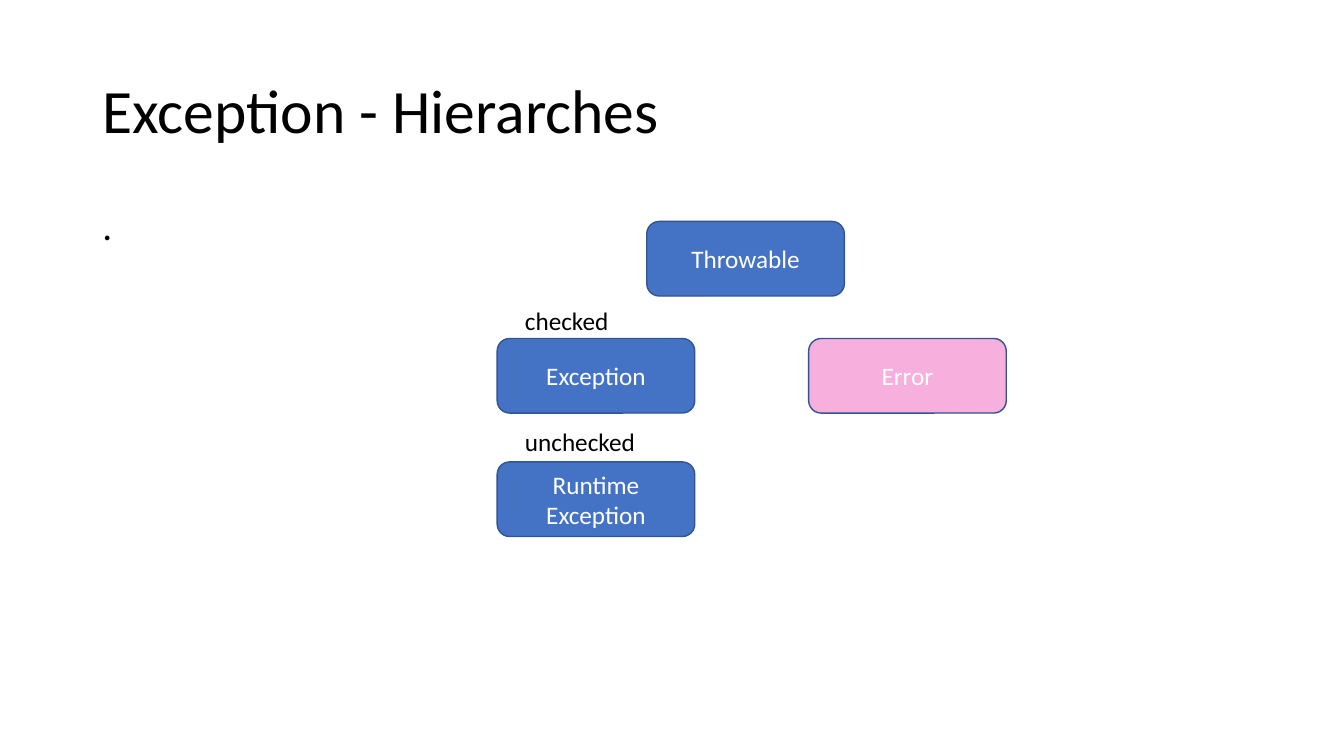
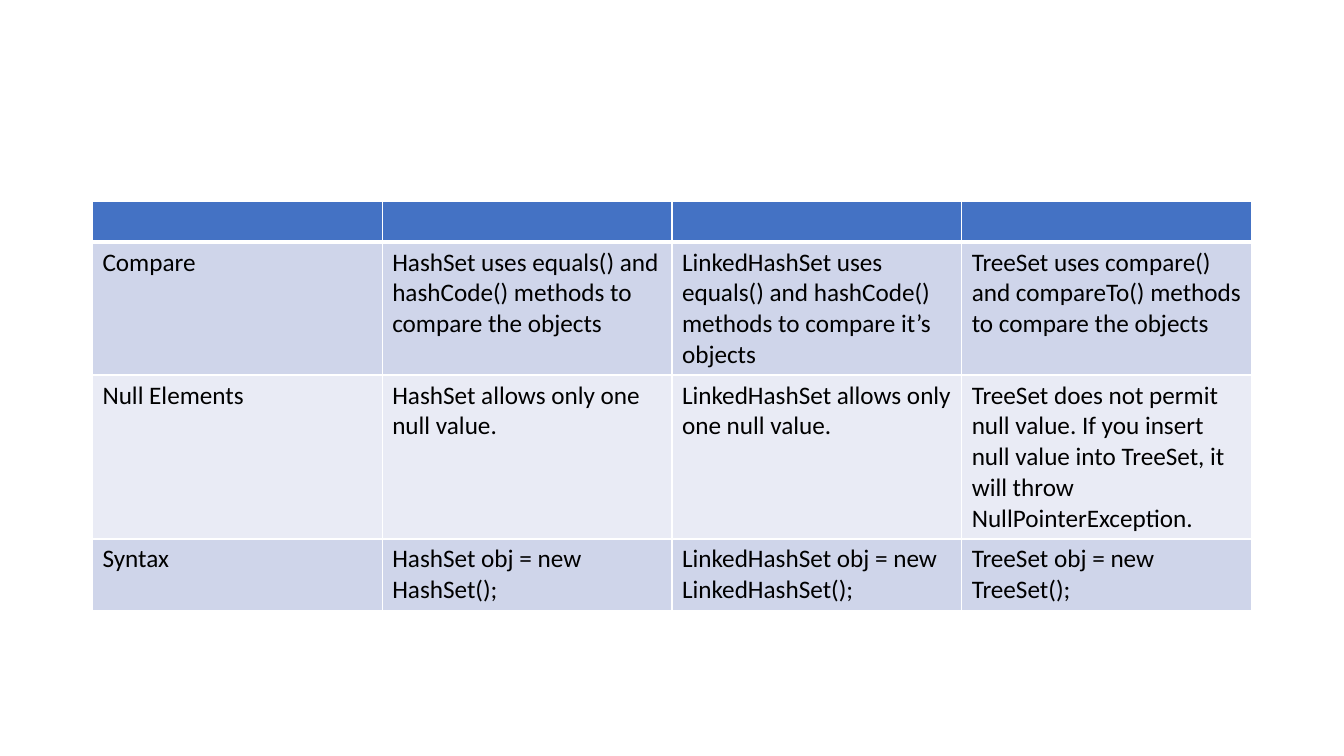
from lxml import etree
from pptx import Presentation
from pptx.dml.color import RGBColor
from pptx.enum.shapes import MSO_SHAPE
from pptx.enum.text import MSO_ANCHOR, PP_ALIGN
from pptx.oxml.ns import qn
from pptx.util import Cm, Pt

ROUNDED = MSO_SHAPE.ROUNDED_RECTANGLE
TOP, MIDDLE = MSO_ANCHOR.TOP, MSO_ANCHOR.MIDDLE
CENTER = PP_ALIGN.CENTER

FONT = "Calibri"
BLACK, WHITE = "000000", "FFFFFF"
BLUE, DARK_BLUE, PINK = "4472C4", "325491", "F7AFDE"
BANDS = ("CFD5EA", "E9EBF5")

SLIDE_W, SLIDE_H = 33.87, 19.05
MARGIN, BODY_TOP = 2.33, 5.07
CONTENT_W = SLIDE_W - 2 * MARGIN

TITLE = "Exception - Hierarches"
BODY = "."
NODE_W, NODE_H = 4.98, 1.88
LEFT_COLUMN, RIGHT_COLUMN = 12.53, 20.38
CLASSES = [  # text, left, top, fill
    ("Throwable", 16.3, 5.58, BLUE),
    ("Exception", LEFT_COLUMN, 8.53, BLUE),
    ("Error", RIGHT_COLUMN, 8.53, PINK),
    ("Runtime Exception", LEFT_COLUMN, 11.64, BLUE),
]
LABEL_LEFT, LABEL_H = 12.98, 1.03
LABELS = [("checked", 7.57, 2.64), ("unchecked", 10.62, 3.33)]  # text, top, width

SET_ROWS = [  # height, cells
    (1.03, ("", "", "", "")),
    (3.35, (
        "Compare",
        "HashSet uses equals() and hashCode() methods to compare the objects",
        "LinkedHashSet uses equals() and hashCode() methods to compare it’s objects",
        "TreeSet uses compare() and compareTo() methods to compare the objects",
    )),
    (4.13, (
        "Null Elements",
        "HashSet allows only one null value.",
        "LinkedHashSet allows only one null value.",
        "TreeSet does not permit null value. If you insert null value into TreeSet, "
        "it will throw NullPointerException.",
    )),
    (1.8, (
        "Syntax",
        "HashSet obj = new HashSet();",
        "LinkedHashSet obj = new LinkedHashSet();",
        "TreeSet obj = new TreeSet();",
    )),
]


def rgb(color):
    return RGBColor.from_string(color)


def paint(target, color):
    target.fill.solid()
    target.fill.fore_color.rgb = rgb(color)


def write(tf, text, size=18, color=BLACK):
    p = tf.paragraphs[0]
    r = p.add_run()
    r.text = text
    r.font.name, r.font.size = FONT, Pt(size)
    r.font.color.rgb = rgb(color)
    return p


def add_text(s, text, left, top, width, height, size=18, anchor=TOP, wrap=True):
    tf = s.shapes.add_textbox(Cm(left), Cm(top), Cm(width), Cm(height)).text_frame
    tf.word_wrap = wrap
    tf.vertical_anchor = anchor
    return write(tf, text, size)


def add_class(s, text, left, top, fill):
    sp = s.shapes.add_shape(ROUNDED, Cm(left), Cm(top), Cm(NODE_W), Cm(NODE_H))
    sp.shadow.inherit = False
    paint(sp, fill)
    sp.line.color.rgb = rgb(DARK_BLUE)
    sp.line.width = Pt(1)
    sp.text_frame.word_wrap = True
    sp.text_frame.vertical_anchor = MIDDLE
    write(sp.text_frame, text, color=WHITE).alignment = CENTER


def set_borders(cell, top, bottom):
    """Draw white cell borders; top and bottom are widths in points."""
    tc_pr = cell._tc.get_or_add_tcPr()
    for side, width in (("L", 1), ("R", 1), ("T", top), ("B", bottom)):
        line = etree.SubElement(tc_pr, qn("a:ln" + side), w=str(Pt(width)))
        fill = etree.SubElement(line, qn("a:solidFill"))
        etree.SubElement(fill, qn("a:srgbClr"), val=WHITE)


def build_hierarchy(s):
    title = add_text(s, TITLE, MARGIN, 1.01, CONTENT_W, 3.68, 44, MIDDLE)
    body = add_text(s, BODY, MARGIN, BODY_TOP, CONTENT_W, 12.09, 28)
    title.line_spacing = body.line_spacing = 0.9
    for node in CLASSES:
        add_class(s, *node)
    for text, top, width in LABELS:
        add_text(s, text, LABEL_LEFT, top, width, LABEL_H, wrap=False)


def build_set_table(s):
    n_cols = len(SET_ROWS[0][1])
    height = sum(row_height for row_height, _ in SET_ROWS)
    table = s.shapes.add_table(len(SET_ROWS), n_cols, Cm(MARGIN), Cm(BODY_TOP),
                               Cm(CONTENT_W), Cm(height)).table
    for column in table.columns:
        column.width = Cm(CONTENT_W / n_cols)
    for i, (row_height, texts) in enumerate(SET_ROWS):
        table.rows[i].height = Cm(row_height)
        for j, text in enumerate(texts):
            cell = table.cell(i, j)
            set_borders(cell, top=3 if i == 1 else 1, bottom=3 if i == 0 else 1)
            paint(cell, BANDS[(i - 1) % 2] if i else BLUE)
            if text:
                write(cell.text_frame, text)


def main():
    prs = Presentation()
    prs.slide_width, prs.slide_height = Cm(SLIDE_W), Cm(SLIDE_H)
    for build in (build_hierarchy, build_set_table):
        build(prs.slides.add_slide(prs.slide_layouts[6]))
    prs.save("out.pptx")


if __name__ == "__main__":
    main()
